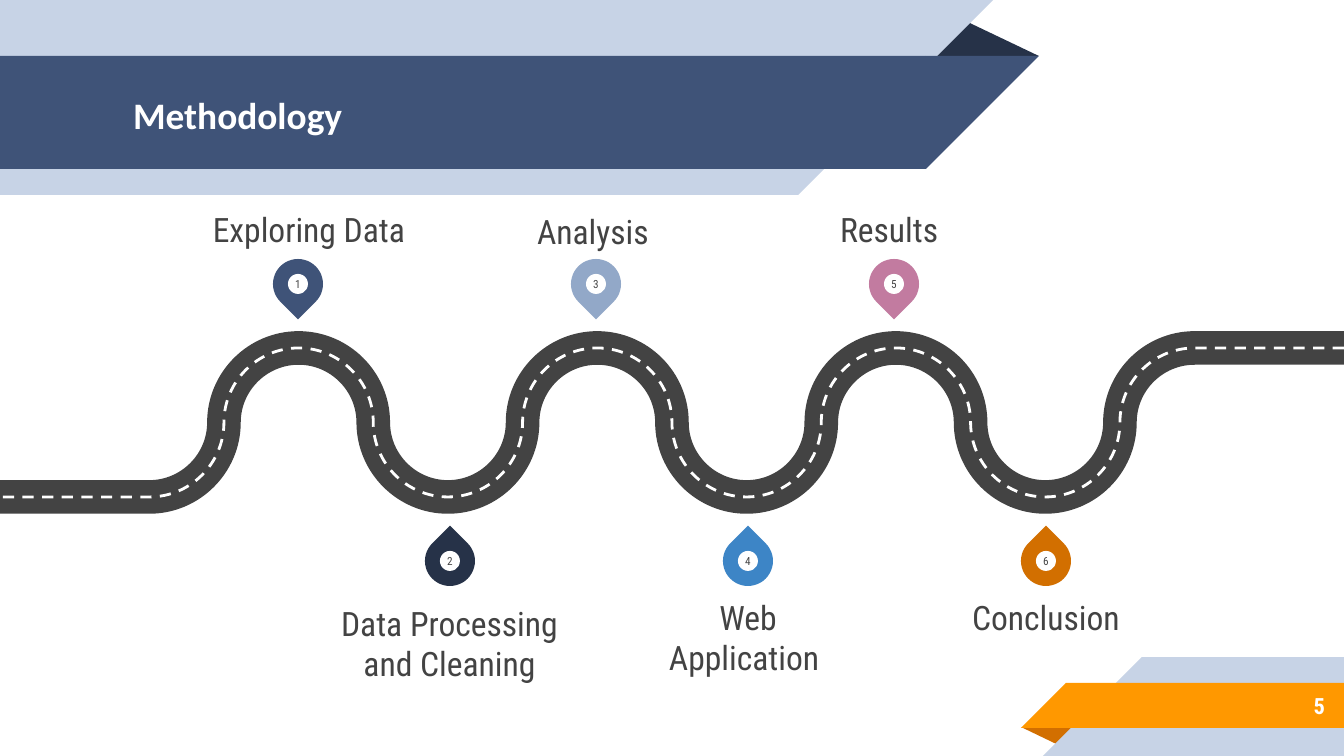
from pptx import Presentation
from pptx.dml.color import RGBColor
from pptx.enum.dml import MSO_LINE
from pptx.enum.shapes import MSO_SHAPE
from pptx.enum.text import MSO_ANCHOR, MSO_AUTO_SIZE, PP_ALIGN
from pptx.oxml.ns import qn
from pptx.util import Pt
from lxml.etree import SubElement

SCALE = 9144000 / 1344
WHITE = RGBColor(0xFF, 0xFF, 0xFF)
PALE = RGBColor(0xC7, 0xD3, 0xE6)
NAVY = RGBColor(0x3F, 0x53, 0x78)
INK = RGBColor(0x26, 0x32, 0x48)
ORANGE = RGBColor(0xFF, 0x98, 0x00)
RUST = RGBColor(0xD2, 0x6F, 0x00)
ASPHALT = RGBColor(0x43, 0x43, 0x43)
STEEL = RGBColor(0x92, 0xA8, 0xC8)
PINK = RGBColor(0xC2, 0x7B, 0xA0)
BLUE = RGBColor(0x3D, 0x85, 0xC6)

ARC = 0.55
STEP = 1344 / 18
PIN = 50
DOT = 20
STAGES = [
    ("Exploring Data", NAVY, (203, 195, 212, 54)),
    ("Data Processing\nand Cleaning", INK, (321, 603, 257, 78)),
    ("Analysis", STEEL, (454, 173, 278, 78)),
    ("Web Application ", BLUE, (653, 597, 190, 78)),
    ("Results ", PINK, (798, 171, 190, 78)),
    ("Conclusion", RUST, (951, 597, 190, 78)),
]


def px(n):
    return round(n * SCALE)


def add_shape(s, kind, box, color, rotation=0):
    sp = s.shapes.add_shape(kind, *map(px, box))
    sp.shadow.inherit = False
    sp.fill.solid()
    sp.fill.fore_color.rgb = color
    sp.line.fill.background()
    sp.rotation = rotation
    return sp


def set_text(sp, text, size=18, color=ASPHALT, font="Roboto Condensed", bold=False,
             align=PP_ALIGN.CENTER, anchor=MSO_ANCHOR.MIDDLE, inset=0):
    tf = sp.text_frame
    tf.text = text
    tf.word_wrap = True
    tf.auto_size = MSO_AUTO_SIZE.NONE
    tf.vertical_anchor = anchor
    tf.margin_left = tf.margin_right = tf.margin_top = tf.margin_bottom = px(inset)
    for p in tf.paragraphs:
        p.alignment = align
        for r in p.runs:
            r.font.name = font
            r.font.size = Pt(size)
            r.font.bold = bold
            r.font.color.rgb = color


def add_text(s, box, text, **fmt):
    set_text(s.shapes.add_textbox(*map(px, box)), text, **fmt)


def add_band(s, box, color, slant_left=False):
    x, y, w, h = box
    rect_x, slant_x = (x + h, x) if slant_left else (x, x + w - h)
    add_shape(s, MSO_SHAPE.RECTANGLE, (rect_x, y, w - h, h), color)
    add_shape(s, MSO_SHAPE.RIGHT_TRIANGLE, (slant_x, y, h, h), color,
              270 if slant_left else 90)


def add_fold(s, box, color, rotation=0):
    fold = add_shape(s, MSO_SHAPE.ISOSCELES_TRIANGLE, box, color, rotation)
    fold.adjustments[0] = 0.32


def add_header(s, box, text):
    x, y, w, h = box
    add_fold(s, (x + w - 114, y + 19, 114, 37), INK)
    add_band(s, (x, y, w - 46, h), PALE)
    add_band(s, (x, y + 56, w, 113), NAVY)
    title = s.shapes.title
    title.left, title.top, title.width, title.height = map(px, (x + 120, y + 58, 807, 113))
    set_text(title, text, size=20, color=WHITE, font="Calibri", bold=True,
             align=PP_ALIGN.LEFT, inset=13)
    s.shapes._spTree.append(title._element)


def add_footer(s, box, number):
    x, y, w, h = box
    add_fold(s, (x, y + 70, 58, 19), RUST, 180)
    add_band(s, (x + 22, y, w - 22, h), PALE, slant_left=True)
    add_band(s, (x, y + 26, w, 45), ORANGE, slant_left=True)
    add_text(s, (x + 99, y + 25, 218, 47), number, size=12, color=WHITE, bold=True,
             align=PP_ALIGN.RIGHT, inset=13)


def add_road(s, box, color, width, dash=None):
    x, y, w, h = box
    heights = {0: 0, 1: h / 2, 2: h, 3: h / 2}
    nodes = [(px(x + k * STEP), px(y + heights[k % 4])) for k in range(16, 1, -1)]
    fb = s.shapes.build_freeform(px(x + w), px(y))
    fb.add_line_segments(nodes + [(px(x), px(y + h))], close=False)
    sp = fb.convert_to_shape()
    sp.shadow.inherit = False
    sp.fill.background()
    sp.line.color.rgb = color
    sp.line.width = Pt(width)
    if dash:
        sp.line.dash_style = dash
    lines = sp._element.findall(".//" + qn("a:lnTo"))
    for i, (start, end) in enumerate(zip(nodes, nodes[1:])):
        (x0, y0), (x1, y1) = start, end
        bend_x, bend_y = ARC * (x1 - x0), ARC * (y1 - y0)
        if i % 2 == 0:
            controls = [(x0 + bend_x, y0), (x1, y1 - bend_y)]
        else:
            controls = [(x0, y0 + bend_y), (x1 - bend_x, y1)]
        line = lines[i + 1]
        curve = line.makeelement(qn("a:cubicBezTo"))
        for cx, cy in controls + [end]:
            SubElement(curve, qn("a:pt"), x=str(round(cx - sp.left)), y=str(round(cy - sp.top)))
        line.getparent().replace(line, curve)


def add_pin(s, box, number, color, rotation):
    x, y, w, h = box
    add_shape(s, MSO_SHAPE.TEAR, box, color, rotation)
    inner = (x + (w - DOT) / 2, y + (h - DOT) / 2, DOT, DOT)
    set_text(add_shape(s, MSO_SHAPE.OVAL, inner, WHITE), number, size=6)


def add_roadmap(s, box, stages):
    x, y, w, h = box
    add_road(s, box, ASPHALT, 18)
    add_road(s, box, WHITE, 1.5, MSO_LINE.DASH)
    for i, (label, color, label_box) in enumerate(stages):
        above = i % 2 == 0
        pin_x = x + 298 + 149 * i + (0 if above else 3) - PIN / 2
        pin_y = (y - 64 if above else y + h + 64) - PIN / 2
        add_pin(s, (pin_x, pin_y, PIN, PIN), str(i + 1), color, 135 if above else 315)
        add_text(s, label_box, label, anchor=MSO_ANCHOR.BOTTOM if above else MSO_ANCHOR.TOP)


def main():
    prs = Presentation()
    prs.slide_width, prs.slide_height = px(1344), px(756)
    s = prs.slides.add_slide(prs.slide_layouts[5])
    add_header(s, (0, 0, 1039, 195), "Methodology")
    add_footer(s, (1021, 657, 323, 99), "5")
    add_roadmap(s, (0, 348, 1344, 149), STAGES)
    prs.save("out.pptx")


if __name__ == "__main__":
    main()
